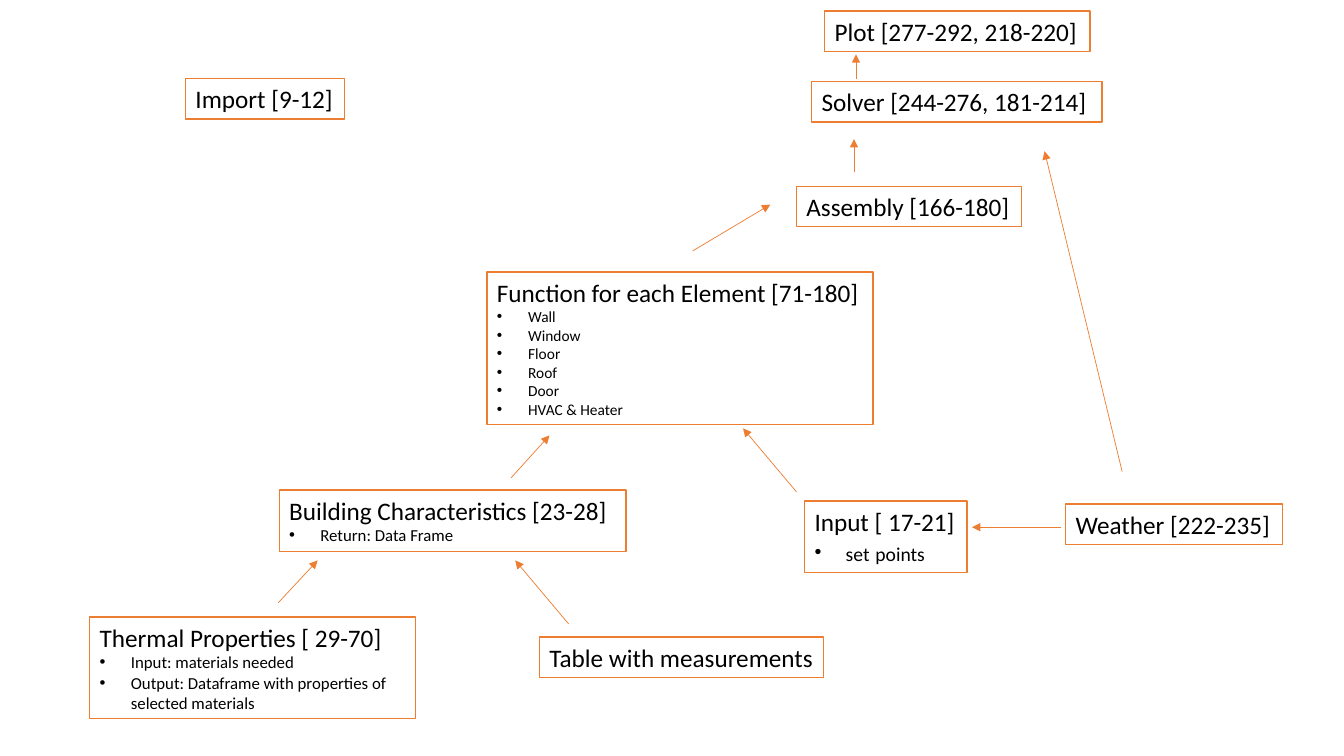
"""Builds a flow chart of the parts of a building model script."""
from pptx import Presentation, util as u
from pptx.dml.color import RGBColor
from pptx.enum import shapes, text
from pptx.oxml.ns import qn
from lxml import etree

HUES = {"line": "ED7D31", "fill": "FFFFFF", "text": "000000"}

deck = Presentation()
deck.slide_width, deck.slide_height = u.Inches(13.33), u.Inches(7.5)
slide = deck.slides.add_slide(deck.slide_layouts[6])


def write(para, words, size=18, bullet=False):
    run = para.add_run()
    run.text = words
    run.font.size = u.Pt(size)
    run.font.name = "Calibri"
    run.font.color.rgb = RGBColor.from_string(HUES["text"])
    para.alignment = text.PP_ALIGN.LEFT
    if bullet:
        props = para._p.get_or_add_pPr()
        props.set("marL", str(u.Inches(0.31)))
        props.set("indent", str(-u.Inches(0.31)))
        etree.SubElement(props, qn("a:buFont"), typeface="Arial")
        etree.SubElement(props, qn("a:buChar"), char="•")


boxes = [
    ("Thermal Properties [ 29-70]", 0.89, 6.12, 3.23, 1.01, 12,
     ["Input: materials needed", "Output: Dataframe with properties of selected materials"]),
    ("Building Characteristics [23-28] ", 2.77, 4.86, 3.44, 0.61, 12, ["Return: Data Frame"]),
    ("Function for each Element [71-180]", 4.83, 2.7, 3.83, 1.51, 11,
     ["Wall", "Window", "Floor", "Roof", "Door", "HVAC & Heater"]),
    ("Input [ 17-21]", 7.98, 4.97, 1.61, 0.71, 14, ["set"]),
    ("Weather [222-235]", 10.57, 5, 2.15, 0.4, 18, []),
    ("Assembly [166-180]", 7.9, 1.85, 2.23, 0.4, 18, []),
    ("Table with measurements", 5.35, 6.32, 2.82, 0.4, 18, []),
    ("Solver [244-276, 181-214]", 8.05, 0.81, 2.88, 0.4, 18, []),
    ("Plot [277-292, 218-220]", 8.18, 0.11, 2.63, 0.4, 18, []),
    ("Import [9-12]", 1.84, 0.78, 1.58, 0.4, 18, []),
]
for title, left, top, width, height, size, items in boxes:
    box = slide.shapes.add_shape(shapes.MSO_SHAPE.RECTANGLE, *map(u.Inches, (left, top, width, height)))
    box.shadow.inherit = False
    box.fill.solid()
    box.fill.fore_color.rgb = RGBColor.from_string(HUES["fill"])
    box.line.color.rgb = RGBColor.from_string(HUES["line"])
    box.line.width = u.Pt(1)
    frame = box.text_frame
    frame.word_wrap = title.startswith("Thermal")
    frame.auto_size = text.MSO_AUTO_SIZE.SHAPE_TO_FIT_TEXT
    frame.vertical_anchor = text.MSO_ANCHOR.TOP
    write(frame.paragraphs[0], title)
    for item in items:
        para = frame.add_paragraph()
        write(para, item, size=size, bullet=True)
        if item == "set":
            write(para, " ")
            write(para, "points", size=size)

arrows = [
    (2.76, 5.98, 3.15, 5.56),
    (11.13, 4.68, 10.36, 1.5),
    (5.64, 6.19, 5.11, 5.56),
    (5.07, 4.74, 5.45, 4.32),
    (7.9, 4.88, 7.37, 4.25),
    (6.87, 2.49, 7.64, 2.03),
    (8.47, 1.71, 8.47, 1.38),
    (8.49, 0.78, 8.49, 0.54),
    (10.52, 5.23, 9.64, 5.23),
]
for ends in arrows:
    arrow = slide.shapes.add_connector(shapes.MSO_CONNECTOR.STRAIGHT, *map(u.Inches, ends))
    arrow.line.color.rgb = RGBColor.from_string(HUES["line"])
    arrow.line.width = u.Pt(0.5)
    etree.SubElement(arrow.line._get_or_add_ln(), qn("a:tailEnd"), type="triangle")
    etree.SubElement(arrow._element.spPr, qn("a:effectLst"))

deck.save("out.pptx")
